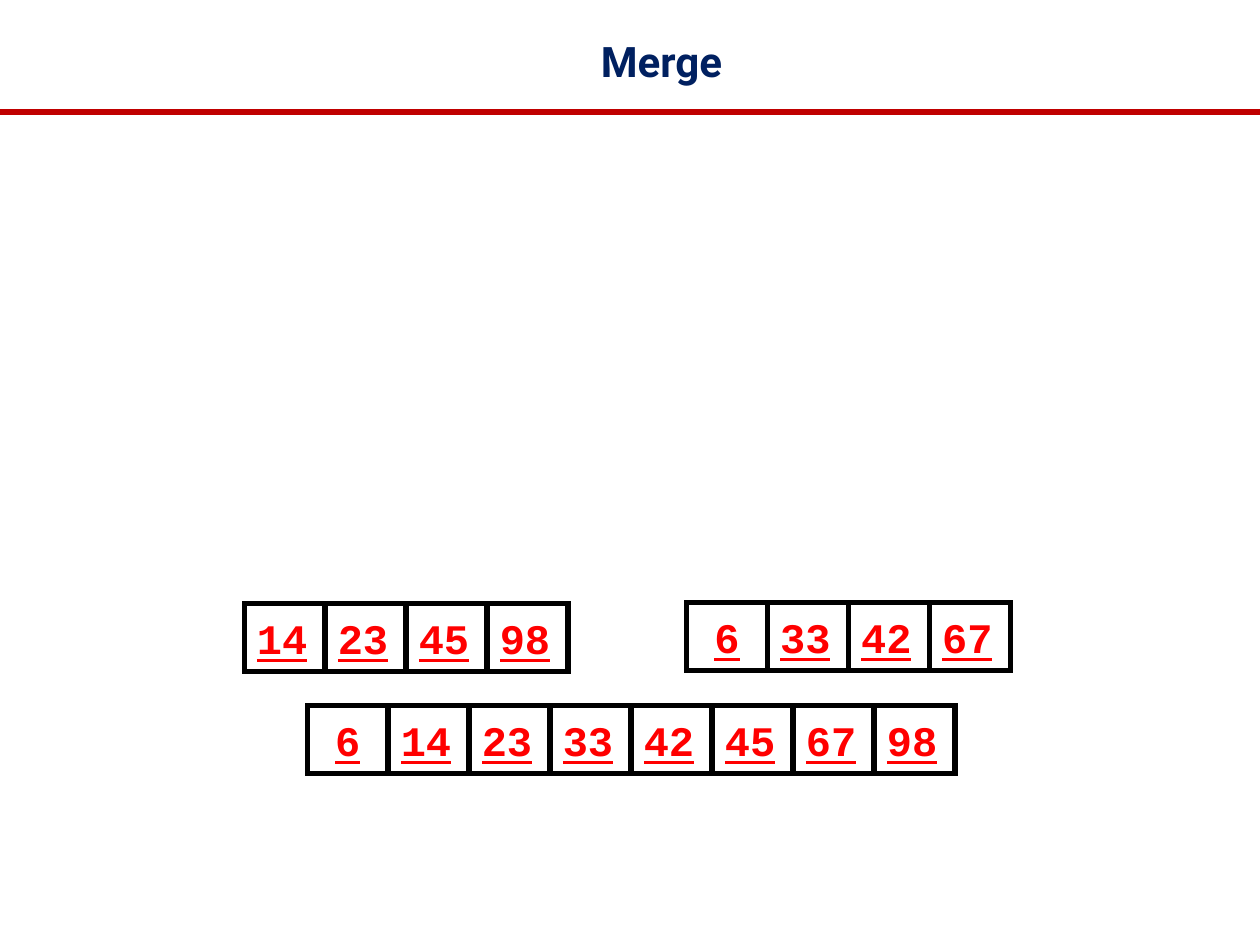
from pptx import Presentation, util as u
from pptx.dml.color import RGBColor
from pptx.enum import shapes, text
from pptx.oxml.ns import qn
from lxml import etree

TITLE = "Merge"
ARRAYS = [
    (1.94, 4.79, [14, 23, 45, 98]),
    (5.45, 4.78, [6, 33, 42, 67]),
    (2.44, 5.6, [6, 14, 23, 33, 42, 45, 67, 98]),
]
CELL_WIDTH, CELL_HEIGHT = 0.64, 0.54
PITCH = 4.5 / 7
COLORS = {"title": "002060", "rule": "C00000", "value": "FF0000", "border": "000000"}
TITLE_FONT = {"name": "Roboto", "size": u.Pt(24), "bold": True}
VALUE_FONT = {"name": "Courier New", "size": u.Pt(24), "bold": True, "underline": True}


def color(name):
    return RGBColor.from_string(COLORS[name])


def write(box, words, align, font, color_name):
    para = box.text_frame.paragraphs[0]
    para.alignment = align
    span = para.add_run()
    span.text = words
    for name, value in font.items():
        setattr(span.font, name, value)
    span.font.color.rgb = color(color_name)


def add_cell(page, left, top, value):
    cell = page.shapes.add_shape(
        shapes.MSO_SHAPE.RECTANGLE,
        *map(u.Inches, (left, top, CELL_WIDTH, CELL_HEIGHT)))
    cell.shadow.inherit = False
    cell.fill.background()
    cell.line.color.rgb = color("border")
    cell.line.width = u.Pt(3)
    outline = cell._element.spPr.find(qn("a:ln"))
    etree.SubElement(outline, qn("a:miter"), lim="800000")
    cell.text_frame.word_wrap = False
    cell.text_frame.vertical_anchor = text.MSO_ANCHOR.MIDDLE
    align = text.PP_ALIGN.CENTER if value < 10 else text.PP_ALIGN.LEFT
    write(cell, str(value), align, VALUE_FONT, "value")


def main():
    deck = Presentation()
    deck.slide_width, deck.slide_height = u.Inches(10), u.Inches(7.5)
    page = deck.slides.add_slide(deck.slide_layouts[6])

    title = page.shapes.add_textbox(*map(u.Inches, (2.03, 0.23, 6.44, 0.51)))
    title.text_frame.word_wrap = True
    title.text_frame.auto_size = text.MSO_AUTO_SIZE.SHAPE_TO_FIT_TEXT
    write(title, TITLE, text.PP_ALIGN.CENTER, TITLE_FONT, "title")

    for left, top, values in ARRAYS:
        for index, value in enumerate(values):
            add_cell(page, left + index * PITCH, top, value)

    rule = page.shapes.add_connector(
        shapes.MSO_CONNECTOR.STRAIGHT, *map(u.Inches, (0, 0.89, 10, 0.89)))
    rule.line.color.rgb = color("rule")
    rule.line.width = u.Pt(3)
    etree.SubElement(rule._element.spPr, qn("a:effectLst"))

    deck.save("out.pptx")


if __name__ == "__main__":
    main()
